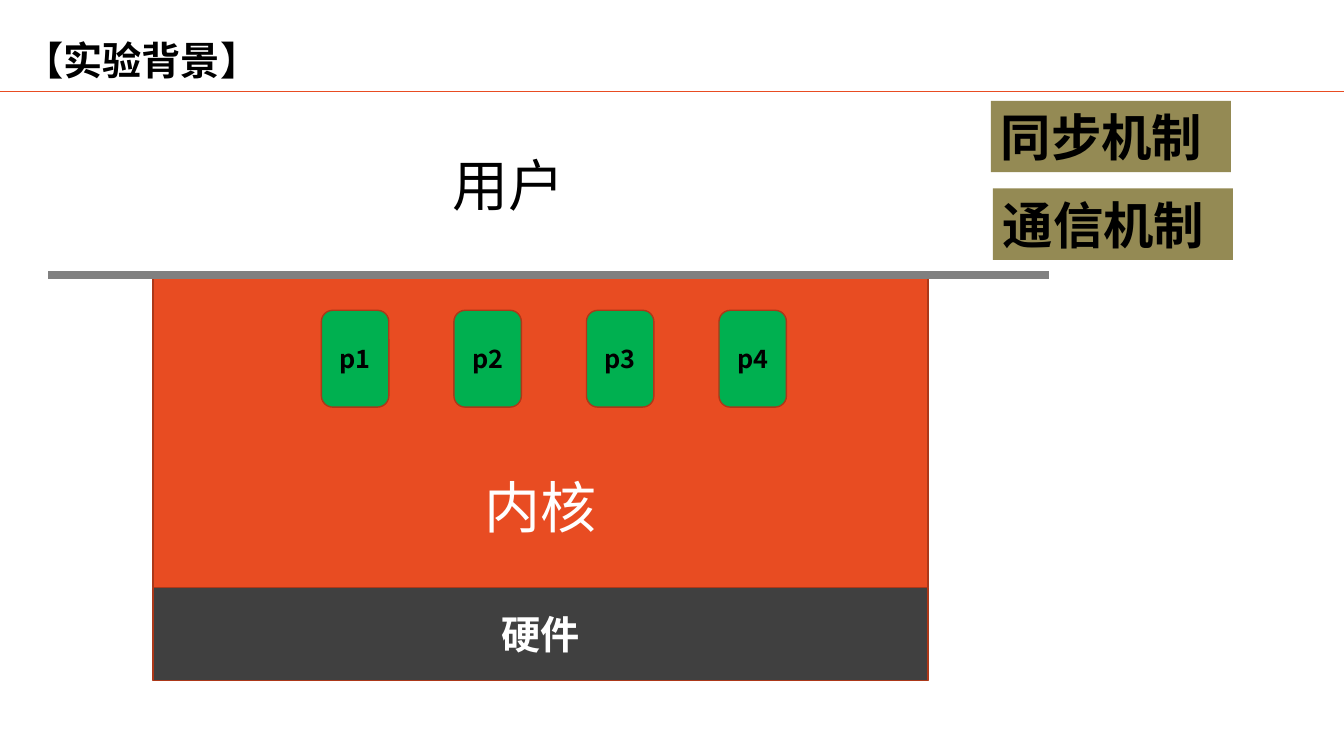
from pptx import Presentation
from pptx.util import Cm, Pt
from pptx.dml.color import RGBColor
from pptx.enum.shapes import MSO_CONNECTOR as Connector, MSO_SHAPE as Preset
from pptx.enum.text import MSO_ANCHOR as Anchor, PP_ALIGN as Align
from pptx.oxml.ns import qn
from lxml import etree

FONT = "Noto Sans CJK SC"
ORANGE, DARK_ORANGE = "E84C22", "AC3819"
BLACK, WHITE = "000000", "FFFFFF"


def color(value):
    return RGBColor.from_string(value)


def write(shape, text, size, text_color, bold=True, align=Align.CENTER, anchor=Anchor.MIDDLE):
    frame = shape.text_frame
    frame.word_wrap = True
    frame.vertical_anchor = anchor
    paragraph = frame.paragraphs[0]
    paragraph.alignment = align
    run = paragraph.add_run()
    run.text = text
    run.font.name = FONT
    run.font.size = Pt(size)
    run.font.bold = bold
    run.font.color.rgb = color(text_color)
    etree.SubElement(run.font._element, qn("a:ea"), typeface=FONT)


presentation = Presentation()
presentation.slide_width = Cm(33.87)
presentation.slide_height = Cm(19.05)
slide = presentation.slides.add_slide(presentation.slide_layouts[5])
shapes = slide.shapes

title = shapes.title
title.left, title.top, title.width, title.height = Cm(0.36), Cm(0.79), Cm(20.52), Cm(1.45)
write(title, "【实验背景】", 28, BLACK, align=Align.LEFT)

boxes = [
    ("内核", Preset.RECTANGLE, 3.86, 6.93, 19.53, 7.88, ORANGE, DARK_ORANGE, 40, WHITE),
    ("硬件", Preset.RECTANGLE, 3.86, 14.81, 19.53, 2.34, "404040", DARK_ORANGE, 28, WHITE),
]
for index in range(4):
    boxes.append((f"p{index + 1}", Preset.ROUNDED_RECTANGLE, 8.1 + 3.34 * index, 7.82,
                  1.7, 2.44, "00B050", DARK_ORANGE, 18, BLACK))
for text, left, top in [("同步机制", 24.97, 2.54), ("通信机制", 25.02, 4.75)]:
    boxes.append((text, Preset.RECTANGLE, left, top, 6.05, 1.8, "948A54", None, 36, BLACK))

for text, preset, left, top, width, height, fill, outline, size, text_color in boxes:
    box = shapes.add_shape(preset, Cm(left), Cm(top), Cm(width), Cm(height))
    box.shadow.inherit = False
    box.fill.solid()
    box.fill.fore_color.rgb = color(fill)
    if outline:
        box.line.color.rgb = color(outline)
        box.line.width = Pt(1)
    else:
        box.line.fill.background()
    is_kernel = text == "内核"
    write(box, text, size, text_color, bold=not is_kernel,
          align=Align.CENTER if outline else Align.LEFT,
          anchor=Anchor.BOTTOM if is_kernel else Anchor.MIDDLE)
    if is_kernel:
        box.text_frame.margin_bottom = Cm(1.2)

user_label = shapes.add_textbox(Cm(5.61), Cm(3.66), Cm(14.4), Cm(1.96))
write(user_label, "用户", 40, BLACK, bold=False)

for start, end, height, line_color, weight in [
    (0, 33.87, 2.31, ORANGE, 0.5),
    (1.22, 26.44, 6.93, "808080", 6),
]:
    line = shapes.add_connector(Connector.STRAIGHT, Cm(start), Cm(height), Cm(end), Cm(height))
    line.line.color.rgb = color(line_color)
    line.line.width = Pt(weight)
    etree.SubElement(line._element.spPr, qn("a:effectLst"))

presentation.save("out.pptx")
